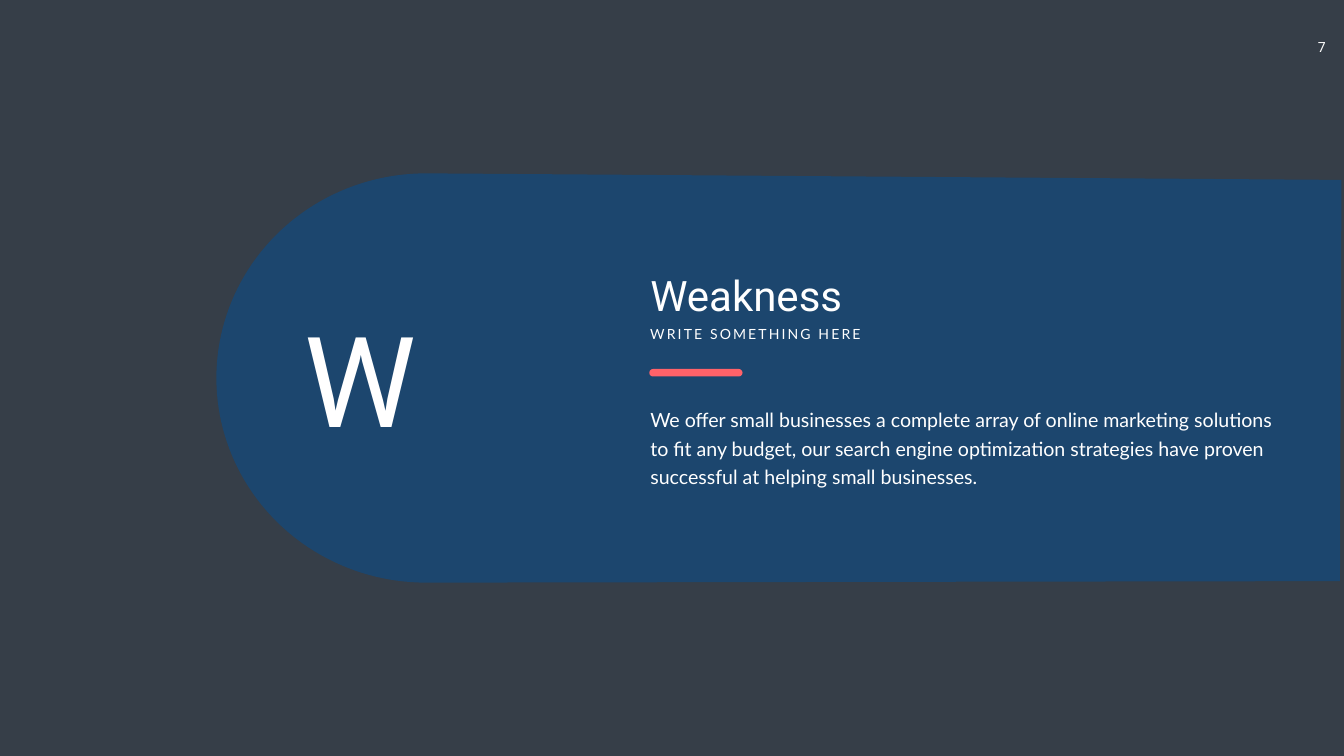
from math import cos, pi, sin

from pptx import Presentation
from pptx.dml.color import RGBColor
from pptx.enum.shapes import MSO_SHAPE
from pptx.enum.text import MSO_ANCHOR, MSO_AUTO_SIZE, PP_ALIGN
from pptx.oxml.ns import qn
from pptx.util import Inches, Pt

WIDTH, HEIGHT = Inches(26.66), Inches(15)
DARK, BLUE, CORAL, WHITE = "363E48", "1C466E", "FF6269", "FFFFFF"
LEFT = 48.01  # shared left edge of the text column


def color(hex_text):
    return RGBColor.from_string(hex_text)


class SlideBuilder:
    """Style and current slide; lengths are percent of the slide's size."""

    heading_font, text_font = "Roboto", "Lato"

    def __init__(self, s):
        self.s = s

    def x(self, share):
        return round(WIDTH * share / 100)

    def y(self, share):
        return round(HEIGHT * share / 100)

    def box(self, left, top, width, height):
        return self.x(left), self.y(top), self.x(width), self.y(height)

    def background(self, fill):
        self.s.background.fill.solid()
        self.s.background.fill.fore_color.rgb = color(fill)

    def paint(self, sp, fill):
        sp.shadow.inherit = False
        sp.fill.solid()
        sp.fill.fore_color.rgb = color(fill)
        sp.line.fill.background()

    def set_text(self, sp, text, size, font, align=PP_ALIGN.LEFT, spacing=None):
        tf = sp.text_frame
        tf.text = text
        tf.word_wrap = True
        tf.auto_size = MSO_AUTO_SIZE.NONE
        tf.vertical_anchor = MSO_ANCHOR.TOP
        p = tf.paragraphs[0]
        p.alignment = align
        p.space_before = Pt(0)
        r = p.runs[0]
        r.font.size, r.font.name = Pt(size), font
        r.font.color.rgb = color(WHITE)
        if spacing:
            r.font._element.set("spc", str(spacing * 100))
        return p

    def placeholder(self, index, place, text, size, font):
        sp = self.s.placeholders[index]
        sp.left, sp.top, sp.width, sp.height = self.box(*place)
        return self.set_text(sp, text, size, font)

    def title(self, place, text):
        self.placeholder(0, place, text, 60, self.heading_font)

    def body(self, place, text):
        p = self.placeholder(1, place, text, 28, self.text_font)
        p.line_spacing = Pt(40.8)
        pPr = p._p.get_or_add_pPr()
        pPr.set("marL", "0")
        pPr.set("indent", "0")
        pPr.append(pPr.makeelement(qn("a:buNone"), {}))

    def label(self, place, *args, **style):
        sp = self.s.shapes.add_textbox(*self.box(*place))
        return self.set_text(sp, *args, **style)

    def bar(self, place, fill):
        sp = self.s.shapes.add_shape(MSO_SHAPE.ROUNDED_RECTANGLE, *self.box(*place))
        sp.adjustments[0] = 0.5
        self.paint(sp, fill)

    def panel(self, center, radii, right_edge, fill, steps=90):
        """Half ellipse on the left, running out to the right edge."""
        (cx, cy), (rx, ry) = center, radii
        angles = [pi / 2 + pi * i / steps for i in range(steps + 1)]
        arc = [(cx + rx * cos(a), cy - ry * sin(a)) for a in angles]
        points = [(self.x(px), self.y(py)) for px, py in arc + right_edge]
        outline = self.s.shapes.build_freeform(*points[0])
        outline.add_line_segments(points[1:], close=True)
        sp = outline.convert_to_shape()
        self.paint(sp, fill)
        sp.element.getparent().insert(2, sp.element)  # behind the text


def main():
    prs = Presentation()
    prs.slide_width, prs.slide_height = WIDTH, HEIGHT
    b = SlideBuilder(prs.slides.add_slide(prs.slide_layouts[1]))

    # Background and rounded panel
    b.background(DARK)
    b.panel((31.7, 50), (15.6, 27.07), [(99.7, 76.87), (99.81, 23.8)], BLUE)

    # Heading, subtitle, accent bar and description
    b.title((LEFT, 35.27, 36.61, 7.4), "Weakness")
    b.label((LEFT, 42.67, 21.94, 2.93), "WRITE SOMETHING HERE", 20, b.text_font, spacing=3)
    b.bar((48.31, 48.8, 6.94, 1), CORAL)
    b.body((LEFT, 53, 47.67, 11.8),
           "We offer small businesses a complete array of online marketing "
           "solutions to fit any budget, our search engine optimization "
           "strategies have proven successful at helping small businesses.")

    # Large initial and page number
    b.label((20.29, 39.53, 13.05, 20.87), "W", 180, b.heading_font, align=PP_ALIGN.CENTER)
    b.label((96.7, 4.8, 3.3, 3.6), "7", 20, b.heading_font, align=PP_ALIGN.CENTER)

    prs.save("out.pptx")


if __name__ == "__main__":
    main()
